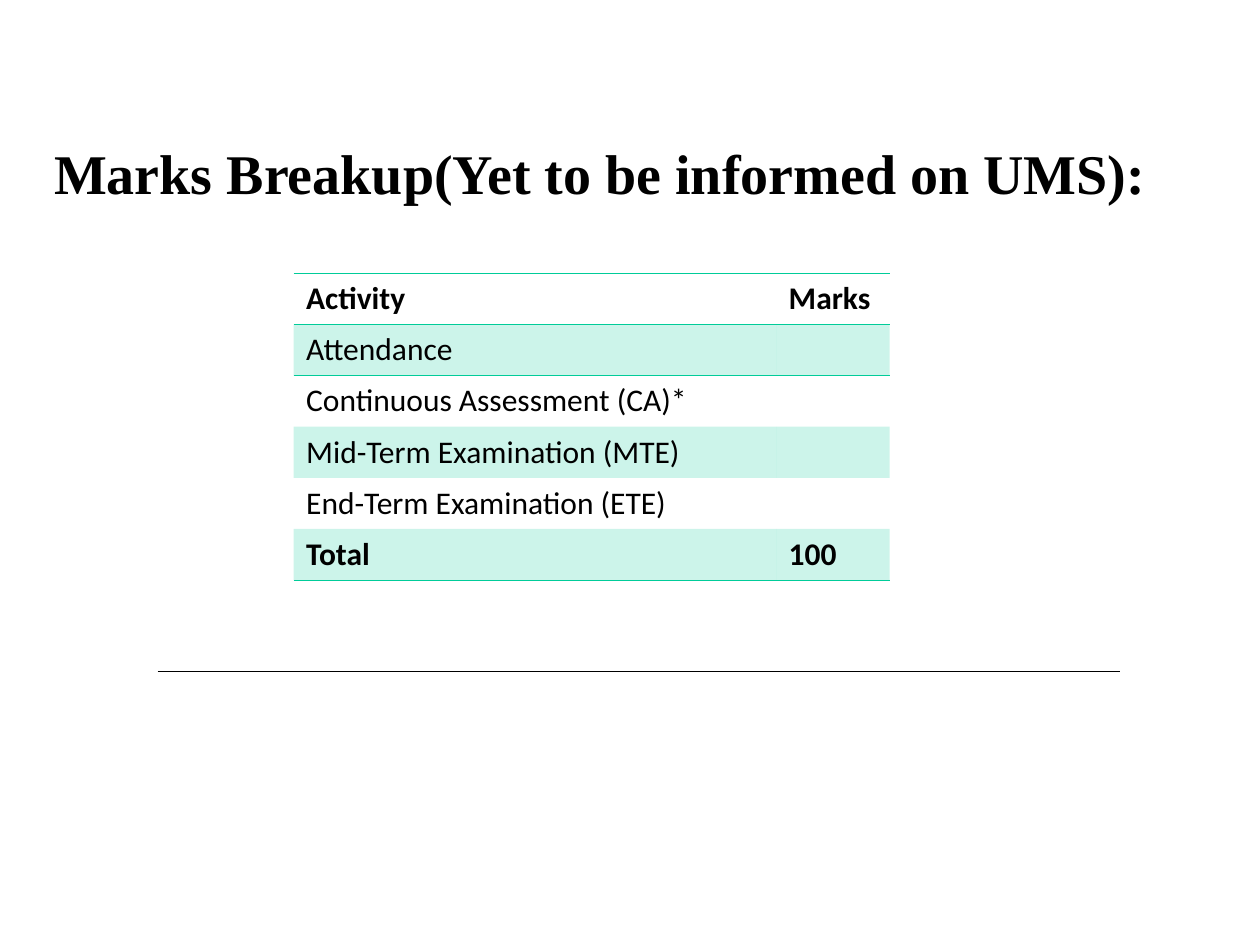
from dataclasses import dataclass

from lxml import etree
from pptx import Presentation
from pptx.dml.color import RGBColor
from pptx.enum.shapes import MSO_CONNECTOR
from pptx.enum.text import MSO_ANCHOR, MSO_AUTO_SIZE, PP_ALIGN
from pptx.oxml.ns import qn
from pptx.util import Inches, Pt

STRAIGHT = MSO_CONNECTOR.STRAIGHT
TOP = MSO_ANCHOR.TOP
LEFT = PP_ALIGN.LEFT
NO_AUTOFIT = MSO_AUTO_SIZE.NONE
PLAIN_TABLE = "{2D5ABB26-0587-4C30-8999-92F81FD0307C}"


@dataclass(frozen=True)
class Theme:
    ink: RGBColor = RGBColor(0, 0, 0)
    accent: RGBColor = RGBColor(0x00, 0xCC, 0x99)
    band_alpha: int = 20000
    heading_font: str = "Times New Roman"
    table_font: str = "Calibri"
    heading_size: int = 32
    table_size: int = 18
    border_width: float = 0.45
    rule_width: float = 0.75


theme = Theme()


def style_font(font, name, size, bold):
    font.name = name
    font.size = Pt(size)
    font.bold = bold
    font.color.rgb = theme.ink


def add_border(cell, side):
    properties = cell._tc.get_or_add_tcPr()
    border = etree.SubElement(properties, qn(f"a:{side}"), w=str(Pt(theme.border_width)))
    fill = etree.SubElement(border, qn("a:solidFill"))
    etree.SubElement(fill, qn("a:srgbClr"), val=str(theme.accent))


presentation = Presentation()
presentation.slide_width = Inches(10)
presentation.slide_height = Inches(7.5)
slide = presentation.slides.add_slide(presentation.slide_layouts[5])

# Heading
heading = slide.shapes.title
heading.left, heading.top = Inches(0.33), Inches(1.08)
heading.width, heading.height = Inches(9), Inches(6.08)
frame = heading.text_frame
frame.word_wrap = True
frame.auto_size = NO_AUTOFIT
frame.vertical_anchor = TOP
paragraph = frame.paragraphs[0]
paragraph.alignment = LEFT
paragraph.line_spacing = 0.97
paragraph.space_after = Pt(14.3)
indents = paragraph._p.get_or_add_pPr()
indents.set("marL", str(Inches(0.38)))
indents.set("indent", str(Inches(-0.38)))
run = paragraph.add_run()
run.text = "Marks Breakup(Yet to be informed on UMS):"
style_font(run.font, theme.heading_font, theme.heading_size, True)

# Marks table
marks_rows = [
    ("Activity", "Marks"),
    ("Attendance", ""),
    ("Continuous Assessment (CA)*", ""),
    ("Mid-Term Examination (MTE)", ""),
    ("End-Term Examination (ETE)", ""),
    ("Total", "100"),
]
last_row = len(marks_rows) - 1
marks_frame = slide.shapes.add_table(
    len(marks_rows), 2, Inches(2.33), Inches(2.17), Inches(4.73), Inches(2.43))
marks = marks_frame.table
marks.first_row = marks.horz_banding = False
marks._tbl.tblPr.find(qn("a:tableStyleId")).text = PLAIN_TABLE
marks.columns[0].width = Inches(3.83)
marks.columns[1].width = Inches(0.9)

for row_index, entries in enumerate(marks_rows):
    for column_index, entry in enumerate(entries):
        cell = marks.cell(row_index, column_index)
        paragraph = cell.text_frame.paragraphs[0]
        if entry:
            run = paragraph.add_run()
            run.text = entry
            style_font(run.font, theme.table_font, theme.table_size,
                       row_index in (0, last_row))
        else:
            paragraph.font.size = Pt(theme.table_size)

        # Rules above and below the header, and below the total
        if row_index in (0, 1):
            add_border(cell, "lnT")
        if row_index in (0, last_row):
            add_border(cell, "lnB")

        # Tinted bands on every second row
        if row_index % 2:
            cell.fill.solid()
            cell.fill.fore_color.rgb = theme.accent
            tint = cell._tc.tcPr.find(f"{qn('a:solidFill')}/{qn('a:srgbClr')}")
            etree.SubElement(tint, qn("a:alpha"), val=str(theme.band_alpha))
        else:
            cell.fill.background()

# Rule under the table
rule = slide.shapes.add_connector(
    STRAIGHT, Inches(1.25), Inches(5.33), Inches(8.89), Inches(5.33))
rule.line.color.rgb = theme.ink
rule.line.width = Pt(theme.rule_width)
etree.SubElement(rule._element.spPr, qn("a:effectLst"))

presentation.save("out.pptx")
